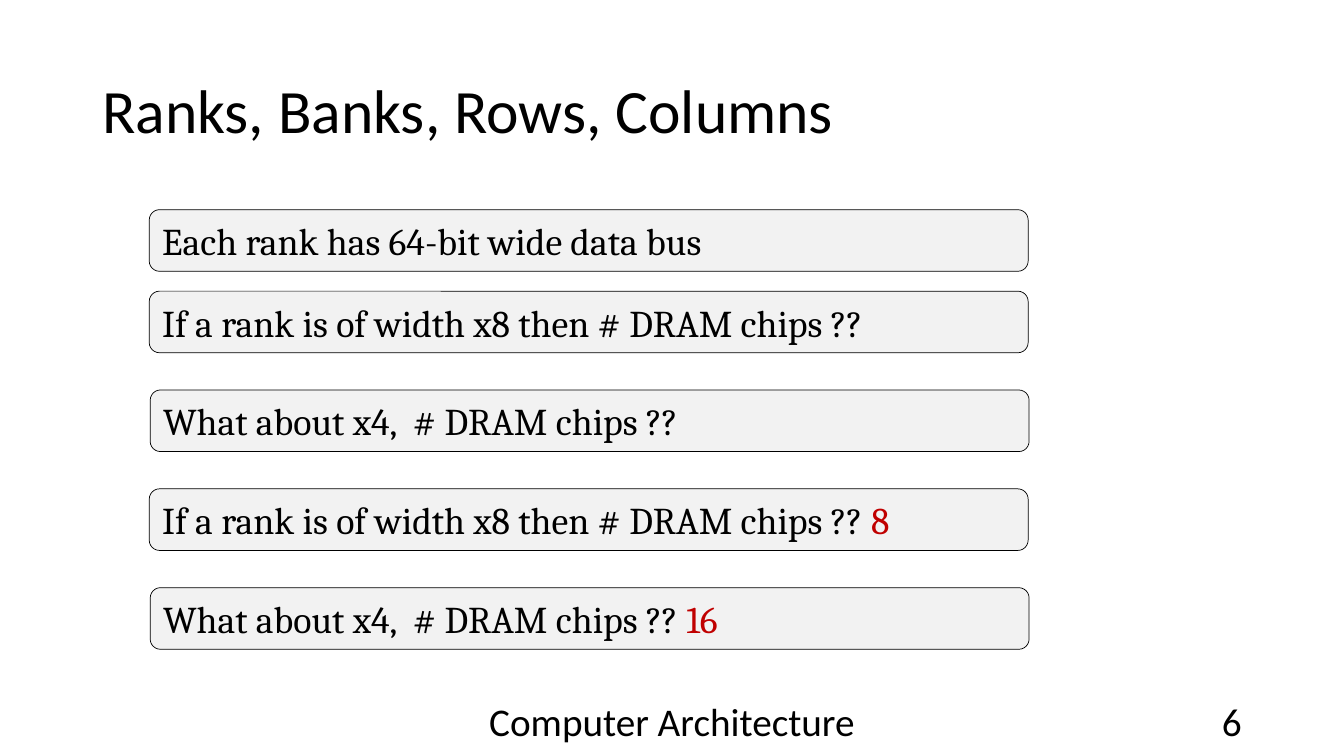
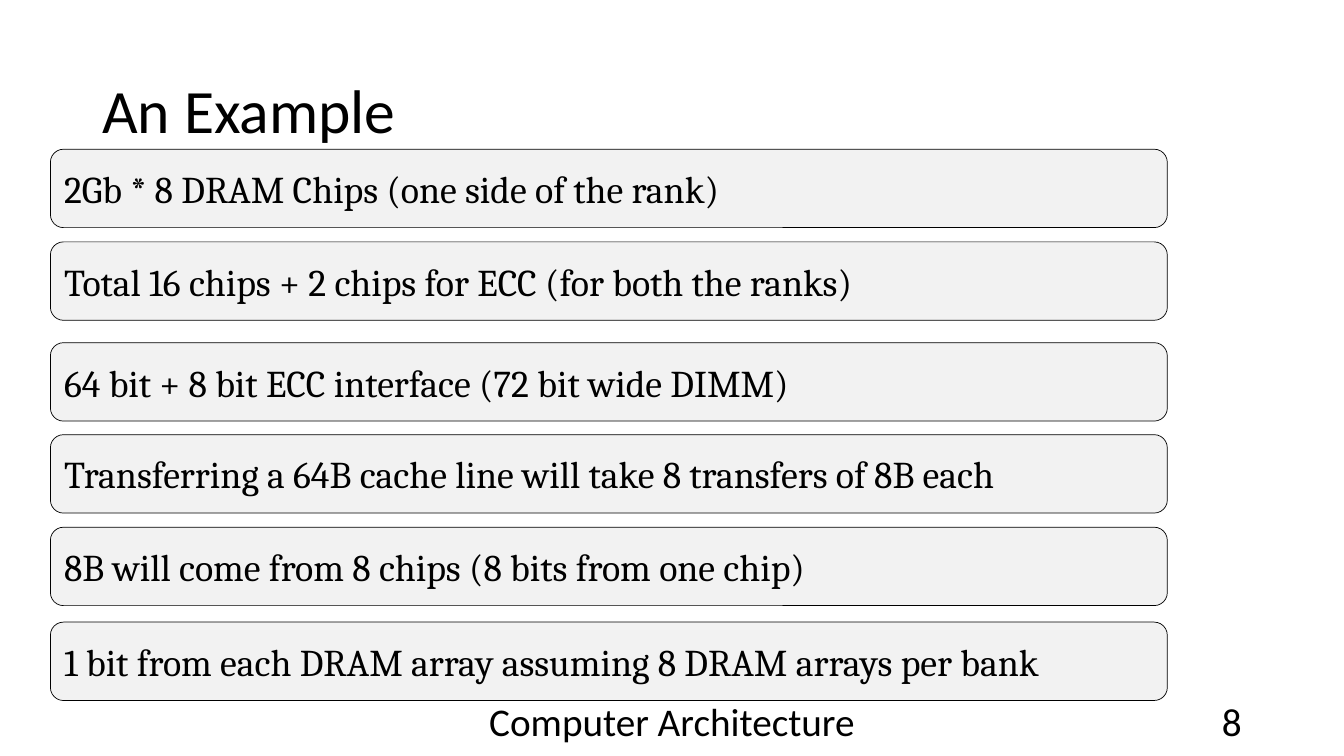
from pptx import Presentation
from pptx.dml.color import RGBColor
from pptx.enum.shapes import MSO_SHAPE
from pptx.enum.text import MSO_ANCHOR, PP_ALIGN
from pptx.util import Pt


def rgb(value):
    return RGBColor.from_string(value)


class Deck:
    HEADING_FONT, BODY_FONT = "Calibri", "Cambria"
    INK, ANSWER, PANEL = "000000", "C00000", "F2F2F2"

    def __init__(self):
        self.prs = Presentation()
        self.prs.slide_width, self.prs.slide_height = Pt(960), Pt(540)
        self.s = None

    def add_slide(self, title, number):
        self.s = self.prs.slides.add_slide(self.prs.slide_layouts[6])
        tf = self.text(66, 28.8, 828, 104.4, title, 44)
        tf.paragraphs[0].line_spacing = 0.9
        self.text(318, 500.4, 324, 28.8, "Computer Architecture", 28, PP_ALIGN.CENTER)
        self.text(678, 500.4, 216, 28.8, str(number), 28, PP_ALIGN.RIGHT)

    def add_runs(self, tf, runs, size, font, align=PP_ALIGN.LEFT):
        tf.word_wrap = True
        tf.vertical_anchor = MSO_ANCHOR.MIDDLE
        p = tf.paragraphs[0]
        p.alignment = align
        for text, color in runs:
            r = p.add_run()
            r.text = text
            r.font.size = Pt(size)
            r.font.name = font
            r.font.color.rgb = rgb(color)

    def text(self, x, y, w, h, text, size, align=PP_ALIGN.LEFT):
        tf = self.s.shapes.add_textbox(Pt(x), Pt(y), Pt(w), Pt(h)).text_frame
        self.add_runs(tf, [(text, self.INK)], size, self.HEADING_FONT, align)
        return tf

    def panel(self, x, y, w, h, text, answer=""):
        sp = self.s.shapes.add_shape(
            MSO_SHAPE.ROUNDED_RECTANGLE, Pt(x), Pt(y), Pt(w), Pt(h))
        sp.shadow.inherit = False
        sp.fill.solid()
        sp.fill.fore_color.rgb = rgb(self.PANEL)
        sp.line.color.rgb = rgb(self.INK)
        sp.line.width = Pt(0.5)
        runs = [(text, self.INK)]
        if answer:
            runs.append((answer, self.ANSWER))
        self.add_runs(sp.text_frame, runs, 27, self.BODY_FONT)


def ranks_slide(deck):
    deck.add_slide("Ranks, Banks, Rows, Columns", 6)
    width, height = 627.8, 44
    deck.panel(106.6, 149.8, width, height, "Each rank has 64-bit wide data bus")
    x8 = "If a rank is of width x8 then # DRAM chips ??"
    x4 = "What about x4,  # DRAM chips ??"
    questions = [(x8, ""), (x4, ""), (x8 + " ", "8"), (x4 + " ", "16")]
    for i, (question, answer) in enumerate(questions):
        deck.panel(106.6 + 0.7 * (i % 2), 208 + 70.6 * i, width, height,
                   question, answer)


def example_slide(deck):
    deck.add_slide("An Example", 8)
    facts = [
        (106.6, "2Gb * 8 DRAM Chips (one side of the rank)"),
        (172.8, "Total 16 chips + 2 chips for ECC (for both the ranks)"),
        (244.8, "64 bit + 8 bit ECC interface (72 bit wide DIMM)"),
        (310.5, "Transferring a 64B cache line will take 8 transfers of 8B each"),
        (376.6, "8B will come from 8 chips (8 bits from one chip)"),
        (444.4, "1 bit from each DRAM array assuming 8 DRAM arrays per bank"),
    ]
    for y, fact in facts:
        deck.panel(36, y, 797.8, 56, fact)


def main():
    deck = Deck()
    ranks_slide(deck)
    example_slide(deck)
    deck.prs.save("out.pptx")


if __name__ == "__main__":
    main()
